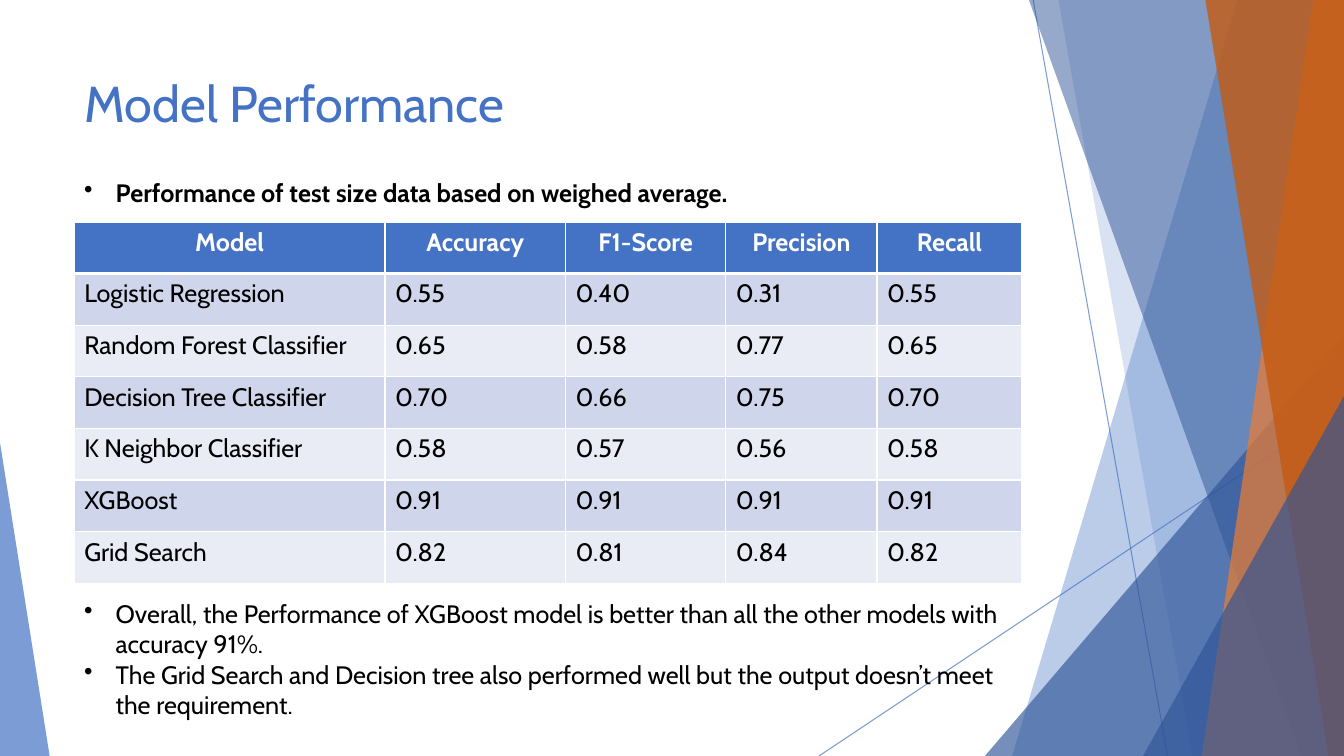
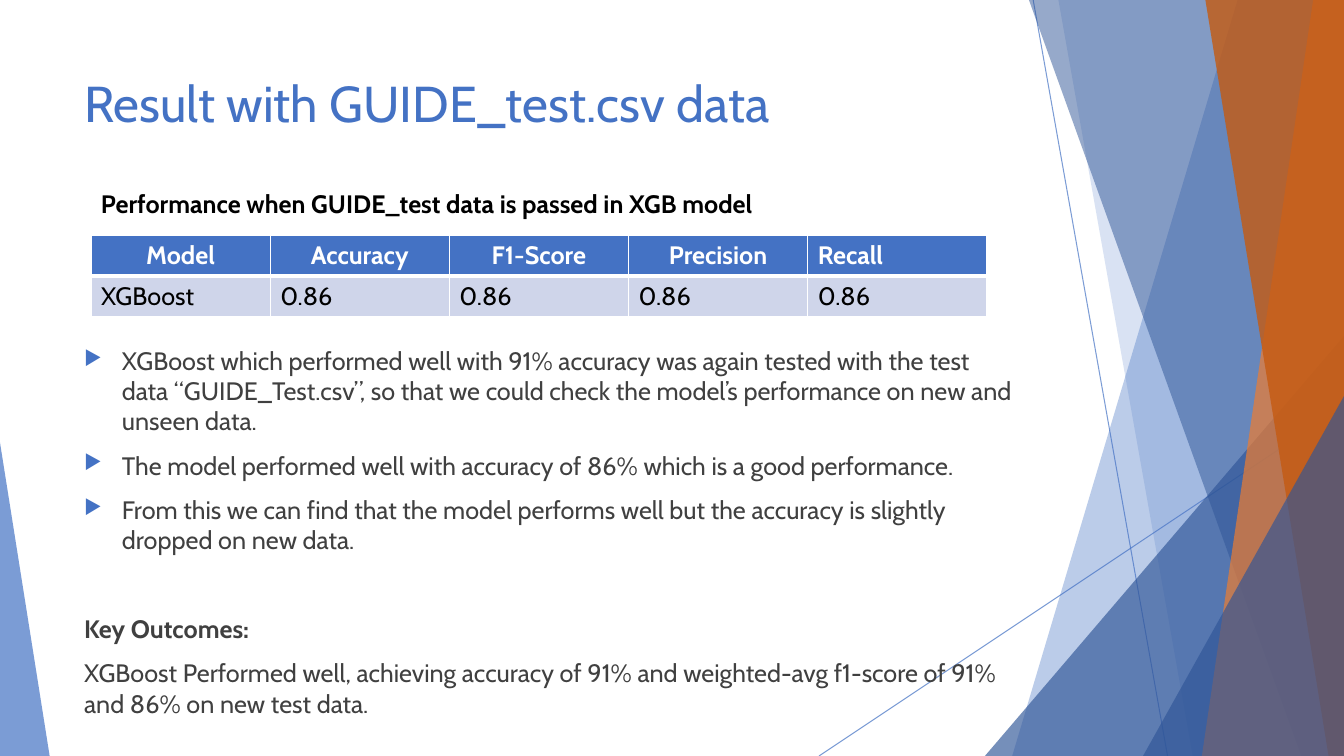
from pptx import Presentation
from pptx.dml.color import RGBColor as RGB
from pptx.enum.shapes import MSO_CONNECTOR as CONN, MSO_SHAPE as SHAPE
from pptx.enum.text import MSO_ANCHOR as ANCHOR, PP_ALIGN as ALIGN
from pptx.oxml import parse_xml
from pptx.oxml.ns import nsdecls
from pptx.util import Pt

BLUE = RGB(0x44, 0x72, 0xC4)
NAVY = RGB(0x2F, 0x55, 0x97)
ORANGE = RGB(0xED, 0x7D, 0x31)
RUST = RGB(0xC5, 0x5A, 0x11)
WHITE = RGB(0xFF, 0xFF, 0xFF)
BLACK = RGB(0, 0, 0)
GREY = RGB(0x40, 0x40, 0x40)
BAND_DARK = RGB(0xCF, 0xD5, 0xEA)
BAND_LIGHT = RGB(0xE9, 0xEB, 0xF5)

WIDTH, HEIGHT = 960, 540
LEFT = 53
FONT = "Cabin"
DOT = ("•", 22.5, None, 100)
ARROW = ("▶", 27, BLUE, 80)


def xml(tag, attrs="", inner=""):
    return parse_xml(f"<a:{tag} {nsdecls('a')} {attrs}>{inner}</a:{tag}>")


def set_alpha(shape, percent):
    for color in shape.element.spPr.xpath(".//a:srgbClr"):
        color.append(xml("alpha", f'val="{percent * 1000}"'))


class Deck:
    def __init__(self):
        self.prs = Presentation()
        self.prs.slide_width, self.prs.slide_height = Pt(WIDTH), Pt(HEIGHT)
        self.s = None

    def slide(self, title):
        self.s = self.prs.slides.add_slide(self.prs.slide_layouts[5])
        self.backdrop()
        sp = self.s.shapes.title
        sp.left, sp.top, sp.width, sp.height = Pt(LEFT), Pt(48), Pt(677), Pt(104)
        tf = sp.text_frame
        tf.word_wrap, tf.vertical_anchor = True, ANCHOR.TOP
        p = tf.paragraphs[0]
        p.alignment = ALIGN.LEFT
        self.run(p, title, BLUE, size=36)

    def backdrop(self):
        self.line(738, 0, 834, HEIGHT)
        self.line(WIDTH, 290, 585, HEIGHT)
        self.facet(884, 723, BLUE, 36)
        self.facet(756, 852, BLUE, 20)
        self.triangle(703.5, 240, 256.5, 1, NAVY, 66)
        self.facet(735, 929.5, NAVY, 50)
        self.facet(938, 858.5, ORANGE, 70)
        self.facet(861, 949, RUST, 80)
        self.triangle(816.5, 283, 143.5, 1, NAVY, 66)
        self.triangle(0, 316, 35.5, 0, BLUE, 70)

    def line(self, x1, y1, x2, y2):
        c = self.s.shapes.add_connector(CONN.STRAIGHT, Pt(x1), Pt(y1), Pt(x2), Pt(y2))
        c.line.color.rgb, c.line.width = BLUE, Pt(0.75)
        c.element.spPr.append(xml("effectLst"))
        set_alpha(c, 70)

    def paint(self, sp, color, alpha):
        sp.shadow.inherit = False
        sp.fill.solid()
        sp.fill.fore_color.rgb = color
        sp.line.fill.background()
        set_alpha(sp, alpha)

    def facet(self, top_x, bottom_x, color, alpha):
        builder = self.s.shapes.build_freeform(Pt(top_x), 0)
        corners = [(WIDTH, 0), (WIDTH, HEIGHT), (bottom_x, HEIGHT)]
        builder.add_line_segments([(Pt(x), Pt(y)) for x, y in corners])
        self.paint(builder.convert_to_shape(), color, alpha)

    def triangle(self, x, y, w, apex, color, alpha):
        sp = self.s.shapes.add_shape(
            SHAPE.ISOSCELES_TRIANGLE, Pt(x), Pt(y), Pt(w), Pt(HEIGHT - y))
        sp.adjustments[0] = apex
        self.paint(sp, color, alpha)

    def run(self, p, text, color, bold=False, size=18):
        r = p.add_run()
        r.text = text
        f = r.font
        f.name, f.size, f.bold = FONT, Pt(size), bold
        f.color.rgb = color

    def bullet(self, p, mark):
        char, indent, color, percent = mark
        pPr = p._p.get_or_add_pPr()
        pPr.set("marL", str(Pt(indent)))
        pPr.set("indent", str(-Pt(indent)))
        if color is not None:
            pPr.append(xml("buClr", inner=f'<a:srgbClr val="{color}"/>'))
        pPr.append(xml("buSzPct", f'val="{percent * 1000}"'))
        pPr.append(xml("buChar", f'char="{char}"'))

    def text(self, x, y, w, h, paragraphs, color=BLACK):
        tf = self.s.shapes.add_textbox(Pt(x), Pt(y), Pt(w), Pt(h)).text_frame
        tf.word_wrap = True
        for i, (text, bold, mark, before) in enumerate(paragraphs):
            p = tf.add_paragraph() if i else tf.paragraphs[0]
            p.space_before = Pt(before)
            if mark:
                self.bullet(p, mark)
            self.run(p, text, color, bold)

    def borders(self, cell, top, bottom):
        widths = {"lnL": 1, "lnR": 1, "lnT": top, "lnB": bottom}
        tcPr = cell._tc.get_or_add_tcPr()
        for i, (tag, width) in enumerate(widths.items()):
            fill = f'<a:solidFill><a:srgbClr val="{WHITE}"/></a:solidFill>'
            tcPr.insert(i, xml(tag, f'w="{Pt(width)}"', fill))

    def table(self, x, y, widths, row_h, rows, centred):
        t = self.s.shapes.add_table(
            len(rows), len(widths), Pt(x), Pt(y),
            Pt(sum(widths)), Pt(row_h * len(rows))).table
        for col, w in zip(t.columns, widths):
            col.width = Pt(w)
        for i, values in enumerate(rows):
            t.rows[i].height = Pt(row_h)
            head = i == 0
            band = BLUE if head else BAND_DARK if i % 2 else BAND_LIGHT
            for j, value in enumerate(values):
                cell = t.cell(i, j)
                cell.fill.solid()
                cell.fill.fore_color.rgb = band
                self.borders(cell, 3 if i == 1 else 1, 3 if head else 1)
                p = cell.text_frame.paragraphs[0]
                p.alignment = ALIGN.CENTER if head and j < centred else ALIGN.LEFT
                self.run(p, value, WHITE if head else BLACK, head)


HEADER = ["Model", "Accuracy", "F1-Score", "Precision", "Recall"]
SCORES = [
    ["Logistic Regression", "0.55", "0.40", "0.31", "0.55"],
    ["Random Forest Classifier", "0.65", "0.58", "0.77", "0.65"],
    ["Decision Tree Classifier", "0.70", "0.66", "0.75", "0.70"],
    ["K Neighbor Classifier", "0.58", "0.57", "0.56", "0.58"],
    ["XGBoost", "0.91", "0.91", "0.91", "0.91"],
    ["Grid Search", "0.82", "0.81", "0.84", "0.82"],
]


def model_performance(deck):
    deck.slide("Model Performance")
    deck.table(LEFT, 158.5, [222, 129, 114.5, 108, 103.5], 36.9,
               [HEADER] + SCORES, centred=5)
    deck.text(LEFT, 424, 669, 94, [
        ("Overall, the Performance of XGBoost model is better than all the "
         "other models with accuracy 91%.", False, DOT, 0),
        ("The Grid Search and Decision tree also performed well but the "
         "output doesn’t meet the requirement.", False, DOT, 0),
    ])
    deck.text(LEFT, 123, 698, 29, [
        ("Performance of test size data based on weighed average.", True, DOT, 0),
    ])


def test_result(deck):
    deck.slide("Result with GUIDE_test.csv data")
    deck.text(LEFT, 243, 677, 297, [
        ("XGBoost which performed well with 91% accuracy was again tested with "
         "the test data “GUIDE_Test.csv”, so that we could check the model’s "
         "performance on new and unseen data.", False, ARROW, 10),
        ("The model performed well with accuracy of 86% which is a good "
         "performance.", False, ARROW, 10),
        ("From this we can find that the model performs well but the accuracy "
         "is slightly dropped on new data.", False, ARROW, 10),
        ("Key Outcomes:", True, None, 42),
        ("XGBoost Performed well, achieving accuracy of 91% and weighted-avg "
         "f1-score of 91% and 86% on new test data.", False, None, 10),
    ], GREY)
    deck.table(65, 168, [128] * 5, 29.2,
               [HEADER, ["XGBoost"] + ["0.86"] * 4], centred=4)
    deck.text(65, 131, 640, 29, [
        ("Performance when GUIDE_test data is passed in XGB model", True, None, 0),
    ])


def main():
    deck = Deck()
    model_performance(deck)
    test_result(deck)
    deck.prs.save("out.pptx")


if __name__ == "__main__":
    main()
